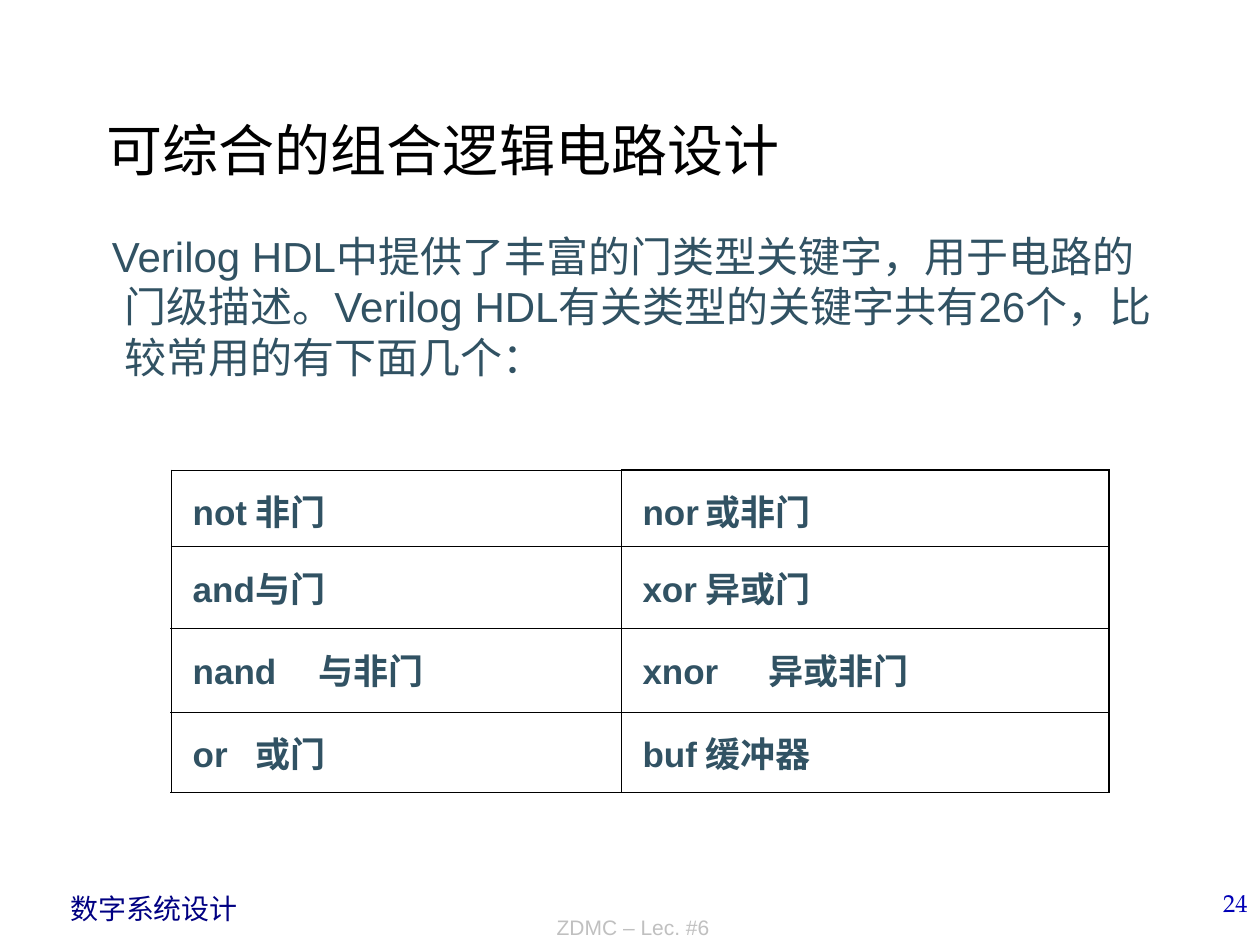
from lxml import etree
from pptx import Presentation
from pptx import util as u
from pptx.dml.color import RGBColor
from pptx.enum import text as t
from pptx.oxml.ns import qn

BLACK = RGBColor(0x00, 0x00, 0x00)
NAVY = RGBColor(0x00, 0x00, 0x82)
BLUE = RGBColor(0x00, 0x00, 0xB6)
SILVER = RGBColor(0xC0, 0xC0, 0xC0)
SLATE = RGBColor(0x31, 0x52, 0x63)
THIN, THICK = 0.45, 1.08

deck = Presentation()
deck.slide_width, deck.slide_height = u.Inches(10), u.Inches(7.5)
slide = deck.slides.add_slide(deck.slide_layouts[6])


def write(frame, words, size, color, font="Arial", bold=False,
          align=t.PP_ALIGN.LEFT, left=0, indent=0, tab=None):
    paragraph = frame.paragraphs[0]
    paragraph.alignment = align
    props = paragraph._p.get_or_add_pPr()
    props.set("marL", str(u.Inches(left)))
    props.set("indent", str(u.Inches(indent)))
    if tab:
        stops = etree.SubElement(props, qn("a:tabLst"))
        etree.SubElement(stops, qn("a:tab"), pos=str(u.Inches(tab)), algn="l")
    run = paragraph.add_run()
    run.text = words
    run.font.name, run.font.size, run.font.bold = font, u.Pt(size), bold
    run.font.color.rgb = color


def draw_borders(cell, **widths):
    """Line the cell's sides; keywords L, R, T, B give widths in points."""
    props = cell._tc.get_or_add_tcPr()
    for place, side in enumerate("LRTB"):
        line = etree.Element(qn(f"a:ln{side}"), w=str(u.Pt(widths[side])))
        fill = etree.SubElement(line, qn("a:solidFill"))
        etree.SubElement(fill, qn("a:srgbClr"), val=str(BLACK))
        props.insert(place, line)


# Title, introduction and footer
TOP, BOTTOM = t.MSO_ANCHOR.TOP, t.MSO_ANCHOR.BOTTOM
INTRO = ("Verilog HDL中提供了丰富的门类型关键字，用于电路的门级描述。"
         "Verilog HDL有关类型的关键字共有26个，比较常用的有下面几个：")
passages = [
    ((0.46, 7.03, 1.53, 0.37), TOP, False, "数字系统设计",
     dict(size=16, color=NAVY, font="Times New Roman")),
    ((7.92, 7, 2.08, 0.5), TOP, True, "24",
     dict(size=14, color=BLUE, font="TeX Gyre Pagella", align=t.PP_ALIGN.RIGHT)),
    ((2.59, 7, 4.87, 0.51), BOTTOM, True, "ZDMC – Lec. #6",
     dict(size=12, color=SILVER, align=t.PP_ALIGN.CENTER)),
    ((0.75, 0.25, 8.5, 1.25), BOTTOM, True, "可综合的组合逻辑电路设计",
     dict(size=32, color=BLACK, font="Arial Narrow")),
    ((0.51, 1.78, 8.91, 4.95), TOP, True, INTRO,
     dict(size=24, color=SLATE, left=0.38, indent=-0.1)),
]
for area, anchor, wrap, words, look in passages:
    frame = slide.shapes.add_textbox(*map(u.Inches, area)).text_frame
    frame.word_wrap, frame.vertical_anchor = wrap, anchor
    write(frame, words, **look)

# Gate keywords
gates = [
    [("not", "非门"), ("nor", "或非门")],
    [("and", "与门"), ("xor", "异或门")],
    [("nand", "与非门"), ("xnor", "异或非门")],
    [("or", "或门"), ("buf", "缓冲器")],
]
column_widths = [3.57, 3.87]
row_heights = [0.61, 0.65, 0.66, 0.64]
gate_table = slide.shapes.add_table(
    len(gates), 2, u.Inches(1.36), u.Inches(3.73),
    u.Inches(sum(column_widths)), u.Inches(sum(row_heights))).table
gate_table.first_row = gate_table.horz_banding = False
for column, width in zip(gate_table.columns, column_widths):
    column.width = u.Inches(width)
for row, height in zip(gate_table.rows, row_heights):
    row.height = u.Inches(height)

last = len(gates) - 1
for r, pair in enumerate(gates):
    for c, (keyword, meaning) in enumerate(pair):
        cell = gate_table.cell(r, c)
        cell.fill.background()
        cell.margin_left, cell.margin_top = u.Inches(0.17), u.Inches(0.12)
        write(cell.text_frame, f"{keyword}\t{meaning}", size=20, color=SLATE,
              bold=True, tab=0.89)
        draw_borders(cell,
                     L=THICK if c == 0 and r > 0 else THIN,
                     R=THICK if c == 1 else THIN,
                     T=THICK if r == 0 and c == 1 else THIN,
                     B=THICK if r == last else THIN)

deck.save("out.pptx")
